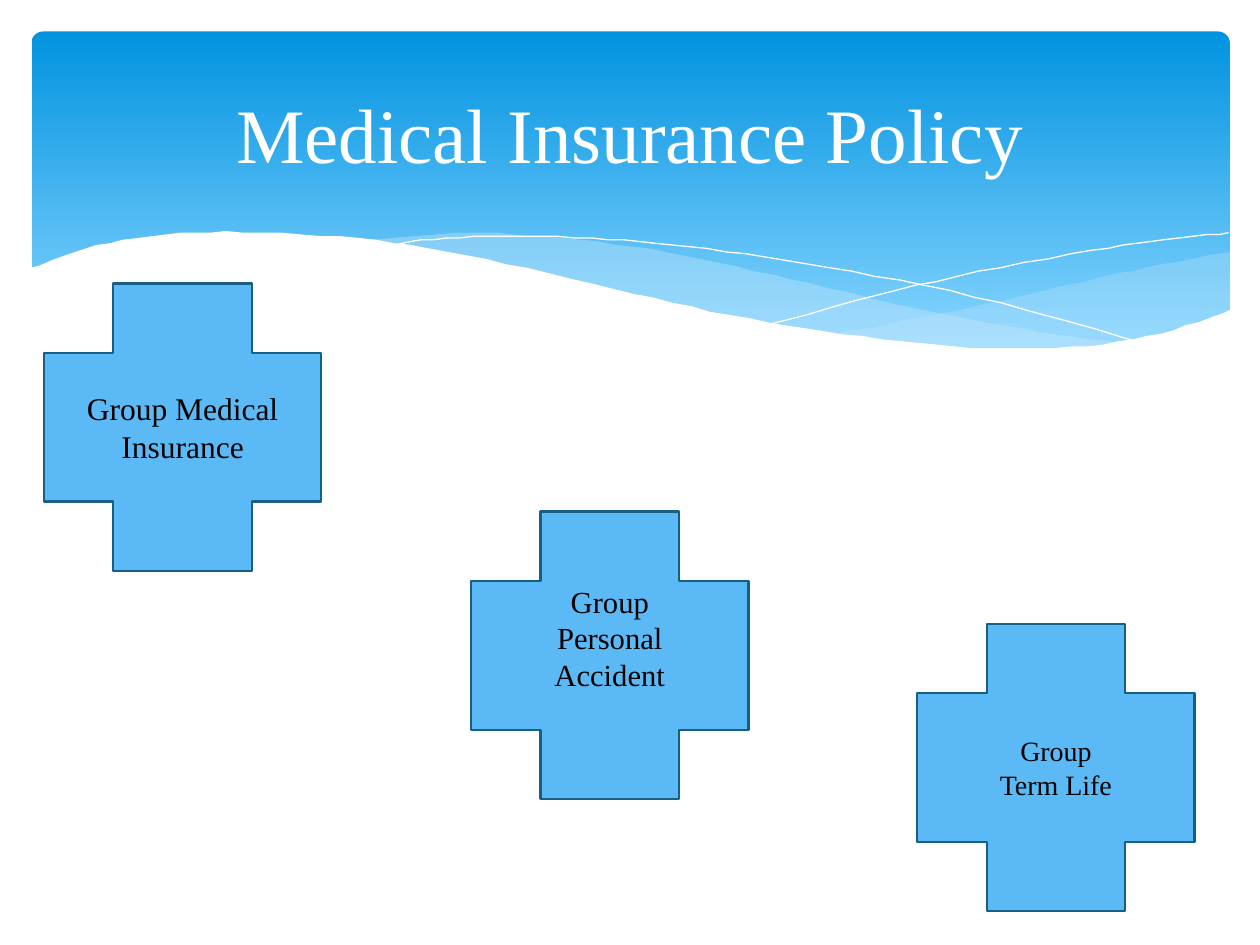
"""Build the Medical Insurance Policy slide."""
from dataclasses import dataclass

from lxml import etree
from pptx import Presentation
from pptx.dml.color import RGBColor
from pptx.enum.shapes import MSO_SHAPE
from pptx.enum.text import MSO_ANCHOR, PP_ALIGN
from pptx.oxml.ns import qn
from pptx.util import Pt

CROSS = MSO_SHAPE.CROSS
ROUNDED = MSO_SHAPE.ROUNDED_RECTANGLE
TOP = MSO_ANCHOR.TOP
MIDDLE = MSO_ANCHOR.MIDDLE
CENTER = PP_ALIGN.CENTER

CROSS_SIZE = (158.4, 164.2)
CURVE_STEPS = 5

RIGHT_WAVE_TOP = [(702.7, 144), (663, 151.2), (620, 160.6), (561, 174.2),
                  (508, 185), (476, 190.8)]
RIGHT_WAVE_BOTTOM = [(476, 190.8), (518, 195.8), (554, 199.4), (593, 199.8),
                     (628, 197.3), (663, 190.8), (702.7, 177.8)]
CENTER_WAVE_TOP = [(643, 196.6), (581, 187.2), (508.3, 172.8), (453, 159.8),
                   (399.6, 147.6), (352, 139.7), (302.4, 134.6), (260, 133.2),
                   (206, 137.5)]
CENTER_WAVE_BOTTOM = [(206, 137.5), (260.6, 146.2), (323.3, 159.8), (381.6, 172.8),
                      (432.7, 183.6), (489.6, 193), (538.6, 198.7), (581, 200.2),
                      (617, 199.4), (643, 196.6)]
FALLING_LINE = [(222.5, 140.4), (247.7, 136.8), (288.7, 134.6), (337.7, 136),
                (383.8, 139.7), (437.8, 146.9), (500.4, 157.7), (572.4, 173.5),
                (653, 195.8)]
RISING_LINE = [(441.4, 185), (500.4, 169.2), (558.7, 155.5), (623.5, 143.3),
               (665.3, 136.8), (702, 133.2)]
BANNER_EDGE = [(703.4, 177.1), (669.6, 188.6), (630, 196.6), (582.5, 199.4),
               (535.7, 197.3), (481, 190.8), (416.9, 180), (362.2, 167.8),
               (301, 153.4), (244.8, 141.8), (195, 135.4), (139, 132.5),
               (95, 133.9), (54.7, 140.4), (16.6, 153.4)]
BANNER_FLOOR = [(16.6, 236.9), (703.4, 236.9)]


@dataclass(frozen=True)
class Theme:
    """Colours and type sizes of the slide."""
    font: str = "Times New Roman"
    white: str = "FFFFFF"
    black: str = "000000"
    banner_top: str = "0293E0"
    banner_bottom: str = "83D3FE"
    wave: str = "C6E7FC"
    cross_fill: str = "5BBAF6"
    cross_line: str = "195F84"
    title_size: float = 44
    medical_size: float = 18
    accident_size: float = 17.5
    life_size: float = 16


def rgb(color):
    """Turn a hexadecimal colour into an RGBColor."""
    return RGBColor.from_string(color)


def smooth(knots):
    """Return points on a Catmull-Rom curve through the knots."""
    padded = [knots[0], *knots, knots[-1]]
    points = [knots[0]]
    for a, b, c, d in zip(padded, padded[1:], padded[2:], padded[3:]):
        for step in range(1, CURVE_STEPS + 1):
            t = step / CURVE_STEPS
            points.append(tuple(
                (2 * q + (r - p) * t + (2 * p - 5 * q + 4 * r - s) * t ** 2
                 + (3 * q - p - 3 * r + s) * t ** 3) / 2
                for p, q, r, s in zip(a, b, c, d)))
    return points


def write_text(shape, text, *, font, size, color, anchor=MIDDLE, bottom=3.6):
    """Write one centred paragraph into a shape."""
    frame = shape.text_frame
    frame.word_wrap = True
    frame.vertical_anchor = anchor
    frame.margin_bottom = Pt(bottom)
    paragraph = frame.paragraphs[0]
    paragraph.text = text
    paragraph.alignment = CENTER
    run_font = paragraph.runs[0].font
    run_font.name = font
    run_font.size = Pt(size)
    run_font.color.rgb = rgb(color)


class SlideBuilder:
    """Hold the theme and the current slide."""

    def __init__(self, slide, theme):
        self.slide = slide
        self.theme = theme

    def banner(self, left, top, width, height):
        """Add the gradient banner."""
        shape = self.slide.shapes.add_shape(
            ROUNDED, Pt(left), Pt(top), Pt(width), Pt(height))
        shape.adjustments[0] = 0.034
        shape.shadow.inherit = False
        shape.line.fill.background()
        shape.fill.gradient()
        shape.fill.gradient_angle = 270
        stops = ((0, self.theme.banner_top), (0.9, self.theme.banner_bottom))
        for stop, (position, color) in zip(shape.fill.gradient_stops, stops):
            stop.position = position
            stop.color.rgb = rgb(color)

    def outline(self, points, closed):
        """Add a freeform through the points."""
        builder = self.slide.shapes.build_freeform(*points[0], scale=Pt(1))
        builder.add_line_segments(points[1:], close=closed)
        shape = builder.convert_to_shape()
        shape.shadow.inherit = False
        return shape

    def area(self, points, color, opacity=100):
        """Add a filled wave."""
        shape = self.outline(points, True)
        shape.line.fill.background()
        shape.fill.solid()
        shape.fill.fore_color.rgb = rgb(color)
        if opacity < 100:
            color_element = shape.element.spPr.find(f".//{qn('a:srgbClr')}")
            etree.SubElement(color_element, qn("a:alpha"), val=str(opacity * 1000))

    def curve(self, knots):
        """Add a white hairline curve."""
        shape = self.outline(smooth(knots), False)
        shape.fill.background()
        shape.line.color.rgb = rgb(self.theme.white)
        shape.line.width = Pt(0)

    def title(self, text, left, top, width, height):
        """Place the title in front of the banner."""
        title = self.slide.shapes.title
        title.left, title.top = Pt(left), Pt(top)
        title.width, title.height = Pt(width), Pt(height)
        title.element.getparent().append(title.element)
        write_text(title, text, font=self.theme.font,
                   size=self.theme.title_size, color=self.theme.white)

    def cross(self, left, top):
        """Add a cross and return it."""
        width, height = CROSS_SIZE
        shape = self.slide.shapes.add_shape(
            CROSS, Pt(left), Pt(top), Pt(width), Pt(height))
        shape.shadow.inherit = False
        shape.fill.solid()
        shape.fill.fore_color.rgb = rgb(self.theme.cross_fill)
        shape.line.color.rgb = rgb(self.theme.cross_line)
        shape.line.width = Pt(1.25)
        return shape

    def label(self, shape, text, size, **options):
        """Write a policy name in a shape."""
        write_text(shape, text, font=self.theme.font, size=size,
                   color=self.theme.black, **options)

    def text_box(self, text, left, top, width, height, size):
        """Add a policy name in its own box."""
        box = self.slide.shapes.add_textbox(Pt(left), Pt(top), Pt(width), Pt(height))
        self.label(box, text, size, anchor=TOP)


def main():
    """Build and save the presentation."""
    presentation = Presentation()
    presentation.slide_width, presentation.slide_height = Pt(720), Pt(540)
    theme = Theme()
    slide = presentation.slides.add_slide(presentation.slide_layouts[5])
    builder = SlideBuilder(slide, theme)

    builder.banner(18, 18, 684.7, 194.4)
    builder.area(smooth(RIGHT_WAVE_TOP) + smooth(RIGHT_WAVE_BOTTOM), theme.wave, 29)
    builder.area(smooth(CENTER_WAVE_TOP) + smooth(CENTER_WAVE_BOTTOM), theme.wave, 40)
    builder.curve(FALLING_LINE)
    builder.curve(RISING_LINE)
    builder.area(smooth(BANNER_EDGE) + BANNER_FLOOR, theme.white)
    builder.title("Medical Insurance Policy", 36, 26.6, 648, 98.6)

    builder.cross(25.2, 162)
    builder.text_box("Group Medical Insurance", 25.2, 218.9, 158.4, 51.1,
                     theme.medical_size)
    builder.label(builder.cross(269.3, 292.3), "Group Personal Accident",
                  theme.accident_size, bottom=23.6)
    builder.label(builder.cross(524.2, 356.4), "Group Term Life", theme.life_size)
    presentation.save("out.pptx")


if __name__ == "__main__":
    main()
